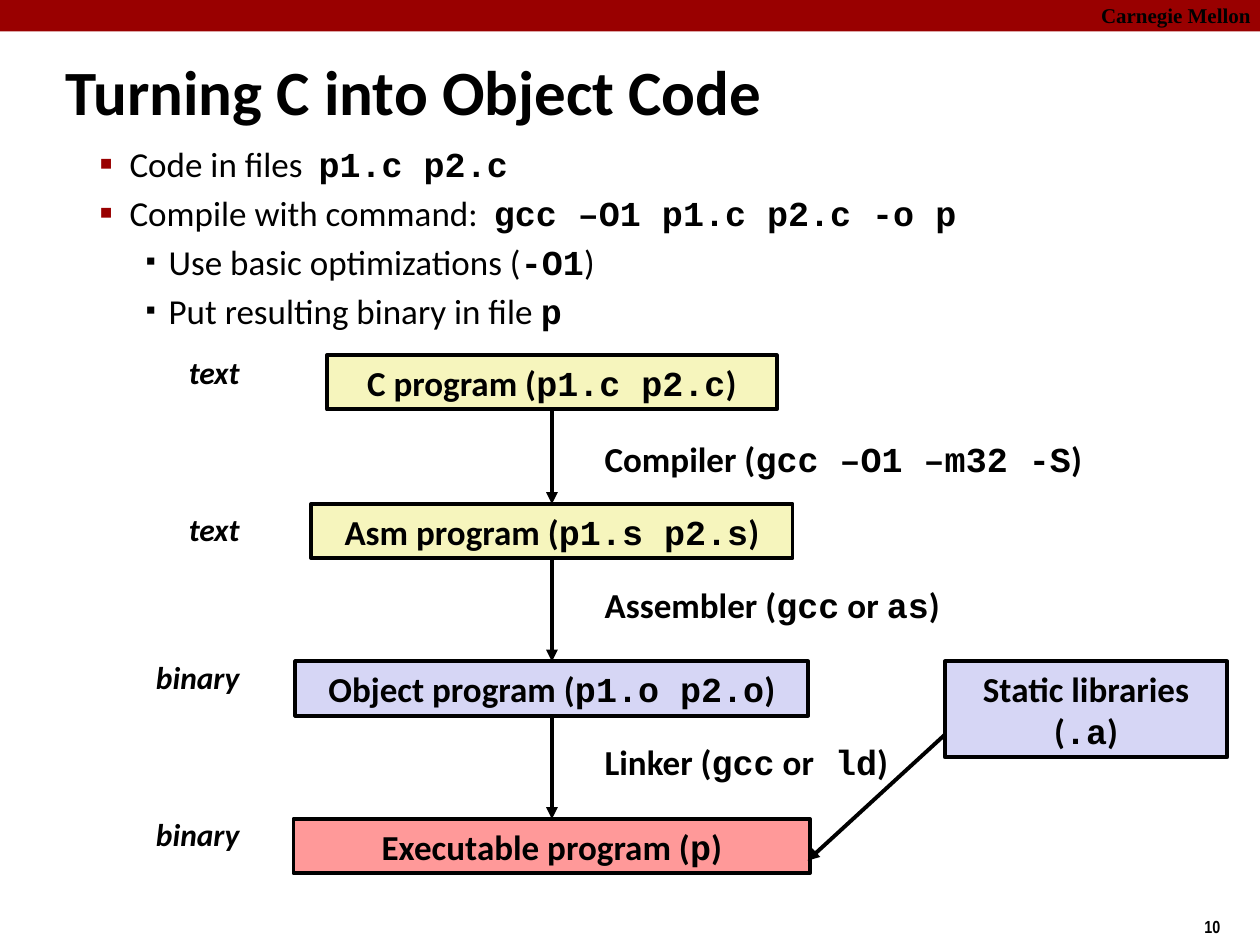
from dataclasses import dataclass

from lxml.etree import SubElement
from pptx import Presentation
from pptx.dml.color import RGBColor
from pptx.enum.shapes import MSO_CONNECTOR, MSO_SHAPE
from pptx.enum.text import MSO_ANCHOR, PP_ALIGN
from pptx.oxml.ns import qn
from pptx.util import Inches, Pt

COLUMN = Inches(10) // 100
ROW = Inches(7.5) // 75
LINE_ROWS = 4.3


@dataclass(frozen=True)
class Theme:
    ink: str = "000000"
    accent: str = "990000"
    paper: str = "FFFFFF"
    source: str = "F6F5BD"
    binary: str = "D6D6F5"
    result: str = "FF9999"
    sans: str = "Calibri"
    mono: str = "Courier New"
    serif: str = "Times New Roman"
    narrow: str = "Arial Narrow"
    title: float = 36
    body: float = 20
    label: float = 18
    brand: float = 12
    number: float = 10
    stroke: float = 2.25


THEME = Theme()


@dataclass(frozen=True)
class Box:
    left: float
    top: float
    width: float
    height: float

    def inner(self, left, top, width, height):
        return Box(self.left + left, self.top + top, width, height)

    def cells(self):
        return (round(self.left * COLUMN), round(self.top * ROW),
                round(self.width * COLUMN), round(self.height * ROW))


def add_run(paragraph, text, size, font=THEME.sans, bold=True, italic=False):
    run = paragraph.add_run()
    run.text = text
    run.font.name = font
    run.font.size = Pt(size)
    run.font.bold = bold
    run.font.italic = italic
    run.font.color.rgb = RGBColor.from_string(THEME.ink)


def add_mixed(paragraph, pieces, plain_bold=True):
    for index, piece in enumerate(pieces):
        is_code = index % 2 == 1
        add_run(paragraph, piece, THEME.body, THEME.mono if is_code else THEME.sans,
                is_code or plain_bold)


def add_text_box(slide, box, align=PP_ALIGN.LEFT):
    frame = slide.shapes.add_textbox(*box.cells()).text_frame
    frame.word_wrap = True
    frame.paragraphs[0].alignment = align
    return frame


def add_rectangle(slide, box, fill):
    shape = slide.shapes.add_shape(MSO_SHAPE.RECTANGLE, *box.cells())
    shape.shadow.inherit = False
    shape.fill.solid()
    shape.fill.fore_color.rgb = RGBColor.from_string(fill)
    shape.line.fill.background()
    return shape


def add_node(slide, box, fill, pieces):
    shape = add_rectangle(slide, box, fill)
    shape.line.color.rgb = RGBColor.from_string(THEME.ink)
    shape.line.width = Pt(THEME.stroke)
    frame = shape.text_frame
    frame.word_wrap = True
    frame.vertical_anchor = MSO_ANCHOR.TOP
    frame.paragraphs[0].alignment = PP_ALIGN.CENTER
    add_mixed(frame.paragraphs[0], pieces)
    return shape


def add_arrow(slide, start=(0, 0), end=(0, 0)):
    ends = [round(share * unit) for point in (start, end)
            for share, unit in zip(point, (COLUMN, ROW))]
    connector = slide.shapes.add_connector(MSO_CONNECTOR.STRAIGHT, *ends)
    connector.line.color.rgb = RGBColor.from_string(THEME.ink)
    connector.line.width = Pt(THEME.stroke)
    properties = connector._element.spPr
    SubElement(properties.find(qn("a:ln")), qn("a:tailEnd"), type="triangle")
    SubElement(properties, qn("a:effectLst"))
    return connector


def add_banner(slide, box):
    add_rectangle(slide, box, THEME.accent)
    frame = add_text_box(slide, box.inner(86.4, -0.3, 14.3, 3))
    add_run(frame.paragraphs[0], "Carnegie Mellon", THEME.brand, THEME.serif)


def add_title(slide, box):
    title = slide.shapes.title
    title.left, title.top, title.width, title.height = box.cells()
    frame = title.text_frame
    frame.word_wrap = True
    frame.vertical_anchor = MSO_ANCHOR.TOP
    frame.paragraphs[0].alignment = PP_ALIGN.LEFT
    add_run(frame.paragraphs[0], "Turning C into Object Code", THEME.title)


def set_bullet(paragraph, level):
    margin, hang, color, percent = [
        (0.61, 0.24, THEME.accent, 110), (0.92, 0.18, THEME.ink, 80)][level]
    paragraph.level = level
    properties = paragraph._p.get_or_add_pPr()
    properties.set("marL", str(Inches(margin)))
    properties.set("indent", str(-Inches(hang)))
    bullet_color = SubElement(properties, qn("a:buClr"))
    SubElement(bullet_color, qn("a:srgbClr"), val=color)
    SubElement(properties, qn("a:buSzPct"), val=str(percent * 1000))
    SubElement(properties, qn("a:buFont"), typeface=THEME.sans)
    SubElement(properties, qn("a:buChar"), char="▪")


def add_bullets(slide, box):
    items = [
        (0, ["Code in files  ", "p1.c p2.c"]),
        (0, ["Compile with command:  ", "gcc –O1 p1.c p2.c -o p"]),
        (1, ["Use basic optimizations (", "-O1", ")"]),
        (1, ["Put resulting binary in file ", "p"]),
    ]
    frame = add_text_box(slide, box)
    for index, (level, pieces) in enumerate(items):
        paragraph = frame.add_paragraph() if index else frame.paragraphs[0]
        if index:
            paragraph.space_before = Pt(4)
        set_bullet(paragraph, level)
        add_mixed(paragraph, pieces, plain_bold=False)


def add_flow(slide, box):
    axis, pitch = 34.7, 12.5
    stages = [
        (0.7, 35.7, THEME.source, "text", 0, ["C program (", "p1.c p2.c", ")"]),
        (pitch, 38.2, THEME.source, "text", pitch, ["Asm program (", "p1.s p2.s", ")"]),
        (2 * pitch, 40.7, THEME.binary, "binary", 2 * pitch - 0.8,
         ["Object program (", "p1.o p2.o", ")"]),
        (3 * pitch, 41, THEME.result, "binary", 3 * pitch - 0.8,
         ["Executable program (", "p", ")"]),
    ]
    steps = [
        (6.7, ["Compiler (", "gcc –O1 –m32 -S", ")"]),
        (18.3, ["Assembler (", "gcc", " or ", "as", ")"]),
        (30.8, ["Linker (", "gcc", " or", " ld", ")"]),
    ]
    nodes = []
    for top, width, fill, label, label_top, pieces in stages:
        nodes.append(add_node(
            slide, box.inner(axis - width / 2, top, width, LINE_ROWS), fill, pieces))
        frame = add_text_box(slide, box.inner(0, label_top, 10.9, 4), PP_ALIGN.RIGHT)
        add_run(frame.paragraphs[0], label, THEME.label, italic=True)
    for upper, lower in zip(nodes, nodes[1:]):
        arrow = add_arrow(slide)
        arrow.begin_connect(upper, 2)
        arrow.end_connect(lower, 0)
    for top, pieces in steps:
        frame = add_text_box(slide, box.inner(37.9, top, 42.2, LINE_ROWS))
        add_mixed(frame.paragraphs[0], pieces)

    libraries = box.inner(65.9, 2 * pitch, 22.4, 7.6)
    add_node(slide, libraries, THEME.binary, ["Static libraries (", ".a", ")"])
    add_arrow(slide, (libraries.left, libraries.top + 5.8),
              (box.left + 55, box.top + 3 * pitch + 3.3))


def add_slide_number(slide, box):
    frame = add_text_box(slide, box)
    add_run(frame.paragraphs[0], "10", THEME.number, THEME.narrow)


def main():
    presentation = Presentation()
    presentation.slide_width = 100 * COLUMN
    presentation.slide_height = 75 * ROW
    slide = presentation.slides.add_slide(presentation.slide_layouts[5])
    slide.background.fill.solid()
    slide.background.fill.fore_color.rgb = RGBColor.from_string(THEME.paper)
    add_banner(slide, Box(0, 0, 100, 2.5))
    add_title(slide, Box(4.2, 3.7, 76.5, 6.3))
    add_bullets(slide, Box(3.2, 10.8, 90.8, 16))
    add_flow(slide, Box(9.1, 27.5, 88.3, 41.8))
    add_slide_number(slide, Box(94.6, 72.2, 7.5, 2.7))
    presentation.save("out.pptx")


if __name__ == "__main__":
    main()
